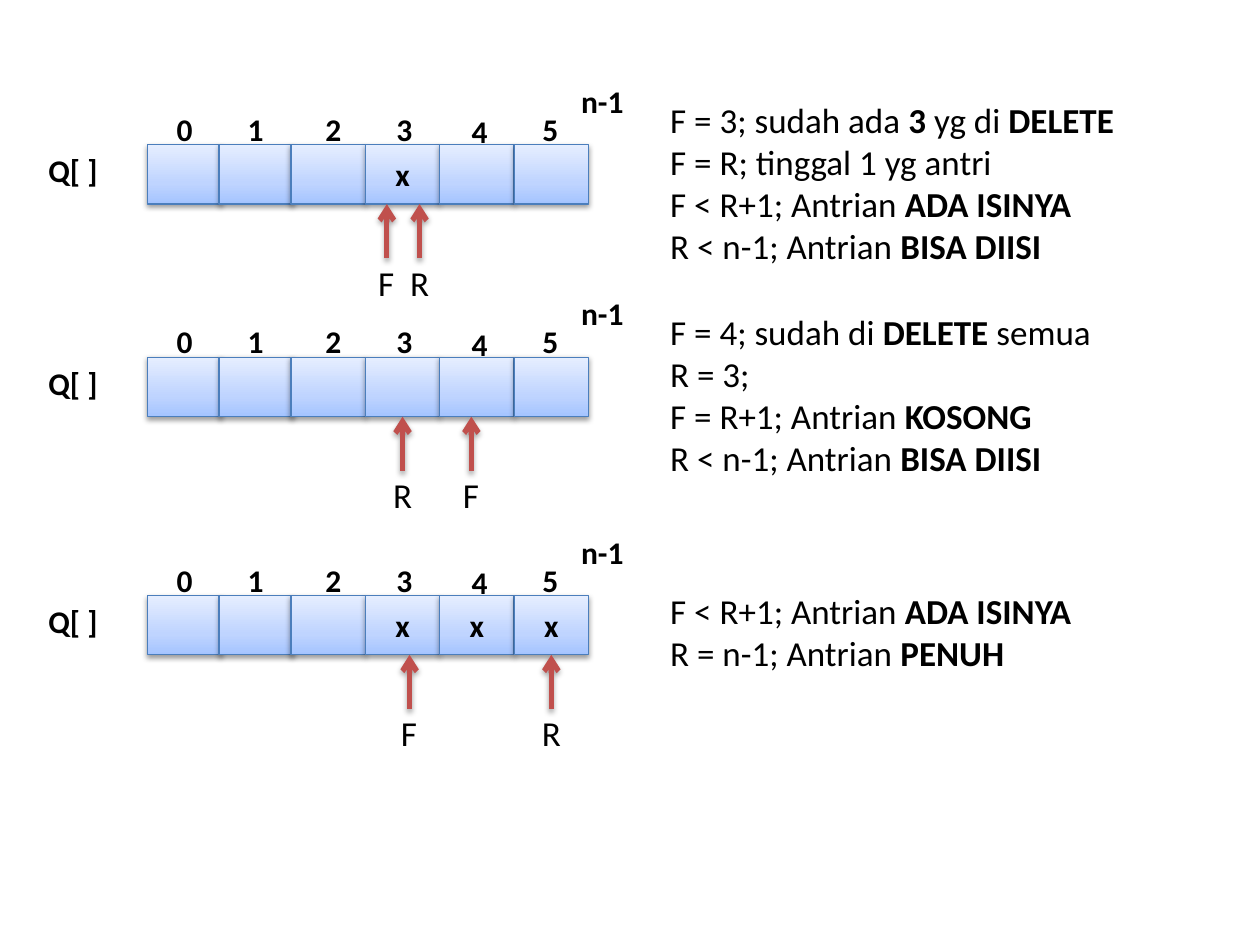
from copy import deepcopy

from lxml.etree import SubElement
from pptx import Presentation
from pptx.dml.color import RGBColor
from pptx.enum.shapes import MSO_CONNECTOR, MSO_SHAPE
from pptx.enum.text import MSO_ANCHOR, MSO_AUTO_SIZE, PP_ALIGN
from pptx.oxml.ns import qn
from pptx.util import Pt

QUEUES = [
    {
        "top": 82.6, "filled": [3],
        "pointers": [("F", 3, -9), ("R", 3, 9.7)],
        "note_top": 52.6, "note_width": 270,
        "note": [
            ["F = 3; sudah ada ", "3", " yg di ", "DELETE"],
            ["F = R; tinggal 1 yg antri"],
            ["F < R+1; Antrian ", "ADA ISINYA"],
            ["R < n-1; Antrian ", "BISA DIISI"],
        ],
    },
    {
        "top": 204.1, "filled": [],
        "pointers": [("F", 4, -3.2), ("R", 3, 0)],
        "note_top": 174.1, "note_width": 258,
        "note": [
            ["F = 4; sudah di ", "DELETE ", "semua"],
            ["R = 3;"],
            ["F = R+1; Antrian ", "KOSONG"],
            ["R < n-1; Antrian ", "BISA DIISI"],
        ],
    },
    {
        "top": 340.2, "filled": [3, 4, 5],
        "pointers": [("F", 3, 4), ("R", 5, 0)],
        "note_top": 333.4, "note_width": 250,
        "note": [
            ["F < R+1; Antrian ", "ADA ISINYA"],
            ["R = n-1; Antrian ", "PENUH"],
        ],
    },
]
CELL_LEFTS = [84.2, 125.2, 166.3, 208.8, 251.3, 293.8]
CELL_W, CELL_H = 42.5, 34
LABELS = [
    ("0", 93.5, -23.4, 24), ("1", 134, -23.4, 24), ("2", 178.5, -23.4, 24),
    ("3", 219, -23.4, 24), ("4", 262, -22, 24), ("5", 302.5, -23.4, 24),
    ("n-1", 324.7, -39.4, 39), ("Q[ ]", 20.2, 0.4, 43),
]
GRADIENT = [(0, "A4C4FF"), (0.35, "BFD4FF"), (1, "E6EEFF")]
ARROW_LENGTH = 31
POINTER_WIDTHS = {"F": 24, "R": 25}


def rgb(value):
    """Turn a hex string into a colour."""
    return RGBColor.from_string(value)


def add_shadow(s, alpha, dist):
    """Give a shape or connector a soft shadow straight below it."""
    effects = SubElement(s._element.spPr, qn("a:effectLst"))
    shadow = SubElement(effects, qn("a:outerShdw"), blurRad=str(Pt(3.1)),
                        dist=str(Pt(dist)), dir="5400000", rotWithShape="0")
    color = SubElement(shadow, qn("a:srgbClr"), val="000000")
    SubElement(color, qn("a:alpha"), val=str(alpha * 1000))


def write(tf, lines, size, bold=False, align=PP_ALIGN.LEFT):
    """Write lines of runs, where every second run is bold."""
    for i, line in enumerate(lines):
        p = tf.paragraphs[0] if i == 0 else tf.add_paragraph()
        p.alignment = align
        for j, text in enumerate(line):
            r = p.add_run()
            r.text = text
            font = {"name": "Calibri", "size": Pt(size), "bold": bold or j % 2 == 1}
            for key, value in font.items():
                setattr(r.font, key, value)
            r.font.color.rgb = rgb("000000")


def add_text(slide, lines, left, top, width, height, size, **style):
    """Add an unwrapped text box."""
    tf = slide.shapes.add_textbox(Pt(left), Pt(top), Pt(width), Pt(height)).text_frame
    tf.word_wrap = False
    tf.auto_size = MSO_AUTO_SIZE.SHAPE_TO_FIT_TEXT
    write(tf, lines, size, **style)


def add_cell(slide, left, top, filled):
    """Add one queue cell, marked with x if filled."""
    s = slide.shapes.add_shape(MSO_SHAPE.RECTANGLE, Pt(left), Pt(top), Pt(CELL_W), Pt(CELL_H))
    s.fill.gradient()
    s.fill.gradient_angle = 90
    stops = s._element.spPr.find(".//" + qn("a:gsLst"))
    stops.append(deepcopy(stops[0]))
    for stop, (position, color) in zip(s.fill.gradient_stops, GRADIENT):
        stop.position = position
        stop.color.rgb = rgb(color)
    s.line.color.rgb = rgb("4B7EBC")
    s.line.width = Pt(0.75)
    add_shadow(s, 38, 1.6)
    if filled:
        s.text_frame.vertical_anchor = MSO_ANCHOR.MIDDLE
        write(s.text_frame, [["x"]], 18, bold=True, align=PP_ALIGN.CENTER)
    return s


def add_pointer(slide, name, cell, x, bottom, joined):
    """Add an upward arrow below a cell with its name."""
    width = POINTER_WIDTHS[name]
    add_text(slide, [[name]], x - width / 2, bottom + ARROW_LENGTH - 2, width, 31.5, 20)
    s = slide.shapes.add_connector(MSO_CONNECTOR.STRAIGHT, Pt(x), Pt(bottom + ARROW_LENGTH),
                                   Pt(x), Pt(bottom))
    if joined:
        s.end_connect(cell, 2)
    s.line.color.rgb = rgb("C0504D")
    s.line.width = Pt(3)
    SubElement(s._element.spPr.find(qn("a:ln")), qn("a:tailEnd"), type="arrow")
    add_shadow(s, 35, 1.8)


def add_queue(slide, queue):
    """Draw one queue state with its labels, pointers and note."""
    top = queue["top"]
    cells = [add_cell(slide, left, top, i in queue["filled"])
             for i, left in enumerate(CELL_LEFTS)]
    for text, left, dy, width in LABELS:
        add_text(slide, [[text]], left, top + dy, width, 29, 18,
                 bold=True, align=PP_ALIGN.CENTER)
    for name, index, dx in queue["pointers"]:
        x = CELL_LEFTS[index] + CELL_W / 2 + dx
        add_pointer(slide, name, cells[index], x, top + CELL_H, dx == 0)
    note = queue["note"]
    add_text(slide, note, 375.9, queue["note_top"], queue["note_width"],
             7.2 + 24.3 * len(note), 20)


def main():
    """Build the slide and save it."""
    prs = Presentation()
    prs.slide_width, prs.slide_height = Pt(720), Pt(540)
    slide = prs.slides.add_slide(prs.slide_layouts[6])
    for queue in QUEUES:
        add_queue(slide, queue)
    prs.save("out.pptx")


if __name__ == "__main__":
    main()
